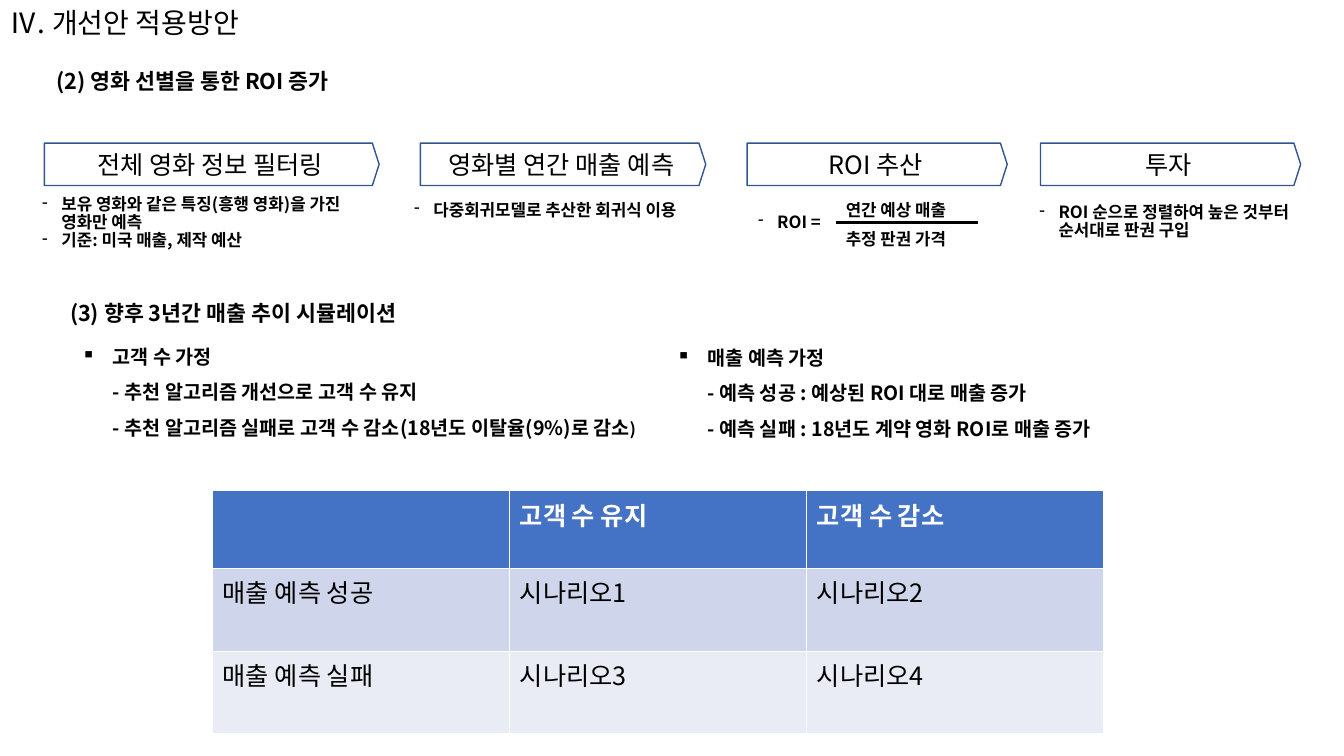
from pptx import Presentation
from pptx.dml.color import RGBColor
from pptx.enum.shapes import MSO_CONNECTOR, MSO_SHAPE
from pptx.enum.text import MSO_ANCHOR, PP_ALIGN
from pptx.oxml.ns import qn
from pptx.util import Pt
from lxml import etree

PX = 9144  # 100 px to the inch
FONT = "Noto Sans CJK KR"
BLACK = RGBColor(0x00, 0x00, 0x00)
WHITE = RGBColor(0xFF, 0xFF, 0xFF)
NAVY = RGBColor(0x32, 0x54, 0x91)
BLUE = RGBColor(0x44, 0x72, 0xC4)
PALE = RGBColor(0xCF, 0xD5, 0xEA)
LIGHT = RGBColor(0xE9, 0xEB, 0xF5)
LEFT, CENTER = PP_ALIGN.LEFT, PP_ALIGN.CENTER
MIDDLE = MSO_ANCHOR.MIDDLE
ARROW = MSO_SHAPE.PENTAGON
STRAIGHT = MSO_CONNECTOR.STRAIGHT


class Board:
    def __init__(self, slide):
        self.slide = slide
        self.shapes = slide.shapes

    def style(self, para, size, bold=False, color=BLACK):
        font = para.font
        font.name, font.size, font.bold = FONT, Pt(size), bold
        font.color.rgb = color
        base = para._p.pPr.find(qn("a:defRPr"))
        latin = base.find(qn("a:latin"))
        east = etree.Element(qn("a:ea"), typeface=FONT)
        latin.addnext(east)
        return base

    def text(self, box, lines, size, bold=True, align=LEFT, space=0.9,
             bullet=None, indent=19):
        frame = self.shapes.add_textbox(*[n * PX for n in box]).text_frame
        frame.word_wrap = True
        frame.vertical_anchor = MIDDLE
        for i, line in enumerate(lines):
            para = frame.add_paragraph() if i else frame.paragraphs[0]
            para.text = line
            para.alignment = align
            para.line_spacing = space
            base = self.style(para, size, bold)
            if bullet:
                props = para._p.pPr
                props.set("marL", str(indent * PX))
                props.set("indent", str(-indent * PX))
                base.addprevious(etree.Element(qn("a:buChar"), char=bullet))
        return frame

    def step(self, left, width, label):
        shape = self.shapes.add_shape(
            ARROW, left * PX, 142 * PX, width * PX, 42 * PX)
        shape.adjustments[0] = 0.16
        shape.shadow.inherit = False
        shape.fill.background()
        shape.line.color.rgb = NAVY
        shape.line.width = Pt(1)
        frame = shape.text_frame
        frame.word_wrap = True
        frame.vertical_anchor = MIDDLE
        para = frame.paragraphs[0]
        para.text = label
        para.alignment = CENTER
        self.style(para, 18)

    def rule(self, left, top, width):
        line = self.shapes.add_connector(
            STRAIGHT, left * PX, top * PX, (left + width) * PX, top * PX)
        line.line.color.rgb = BLACK
        line.line.width = Pt(2.25)
        etree.SubElement(line._element.spPr, qn("a:effectLst"))

    def table(self, left, top, width, heights, rows, fills):
        table = self.shapes.add_table(
            len(rows), len(rows[0]), left * PX, top * PX,
            width * PX, sum(heights) * PX).table
        for r, row in enumerate(rows):
            table.rows[r].height = heights[r] * PX
            for c, word in enumerate(row):
                cell = table.cell(r, c)
                cell.fill.solid()
                cell.fill.fore_color.rgb = fills[r]
                para = cell.text_frame.paragraphs[0]
                para.text = word
                head = r == 0
                self.style(para, 18, head, WHITE if head else BLACK)


def main():
    deck = Presentation()
    deck.slide_width, deck.slide_height = 1333 * PX, 750 * PX
    board = Board(deck.slides.add_slide(deck.slide_layouts[6]))

    # Headings
    board.text((0, 0, 1327, 49), ["Ⅳ. 개선안 적용방안"], 20, bold=False)
    for box, head in (
        ((25, 59, 332, 49), "(2) 영화 선별을 통한 ROI 증가"),
        ((32, 289, 398, 49), "(3) 향후 3년간 매출 추이 시뮬레이션"),
    ):
        board.text(box, [head], 15.5, align=CENTER, space=0.7)

    # Process steps
    for left, width, label in (
        (44, 332, "전체 영화 정보 필터링"),
        (417, 283, "영화별 연간 매출 예측"),
        (741, 258, "ROI 추산"),
        (1032, 258, "투자"),
    ):
        board.step(left, width, label)

    # Notes under the steps
    for box, lines in (
        ((32, 176, 358, 91), ["보유 영화와 같은 특징(흥행 영화)을 가진 영화만 예측",
                              "기준: 미국 매출, 제작 예산"]),
        ((401, 188, 358, 42), ["다중회귀모델로 추산한 회귀식 이용"]),
        ((742, 200, 96, 42), ["ROI ="]),
        ((1021, 193, 358, 55), ["ROI 순으로 정렬하여 높은 것부터 \n순서대로 판권 구입"]),
    ):
        board.text(box, lines, 12, bullet="-")

    # ROI fraction
    for top, term in ((188, "연간 예상 매출"), (217, "추정 판권 가격")):
        board.text((829, top, 141, 42), [term], 12)
    board.rule(829, 221, 141)

    # Assumptions
    users = board.text(
        (71, 276, 661, 214),
        ["고객 수 가정\n- 추천 알고리즘 개선으로 고객 수 유지\n"
         "- 추천 알고리즘 실패로 고객 수 감소(18년도 이탈율(9%)로 감소"],
        14, space=1.5, bullet="▪", indent=31)
    close = users.paragraphs[0].add_run()
    close.text = ")"
    close.font.size = Pt(12)
    board.text(
        (661, 277, 661, 214),
        ["매출 예측 가정\n- 예측 성공 : 예상된 ROI 대로 매출 증가\n"
         "- 예측 실패 : 18년도 계약 영화 ROI로 매출 증가"],
        14, space=1.5, bullet="▪", indent=31)

    # Scenario table
    board.table(211, 487, 884, (77, 82, 82), (
        ("", "고객 수 유지", "고객 수 감소"),
        ("매출 예측 성공", "시나리오1", "시나리오2"),
        ("매출 예측 실패", "시나리오3", "시나리오4"),
    ), (BLUE, PALE, LIGHT))

    deck.save("out.pptx")


if __name__ == "__main__":
    main()
